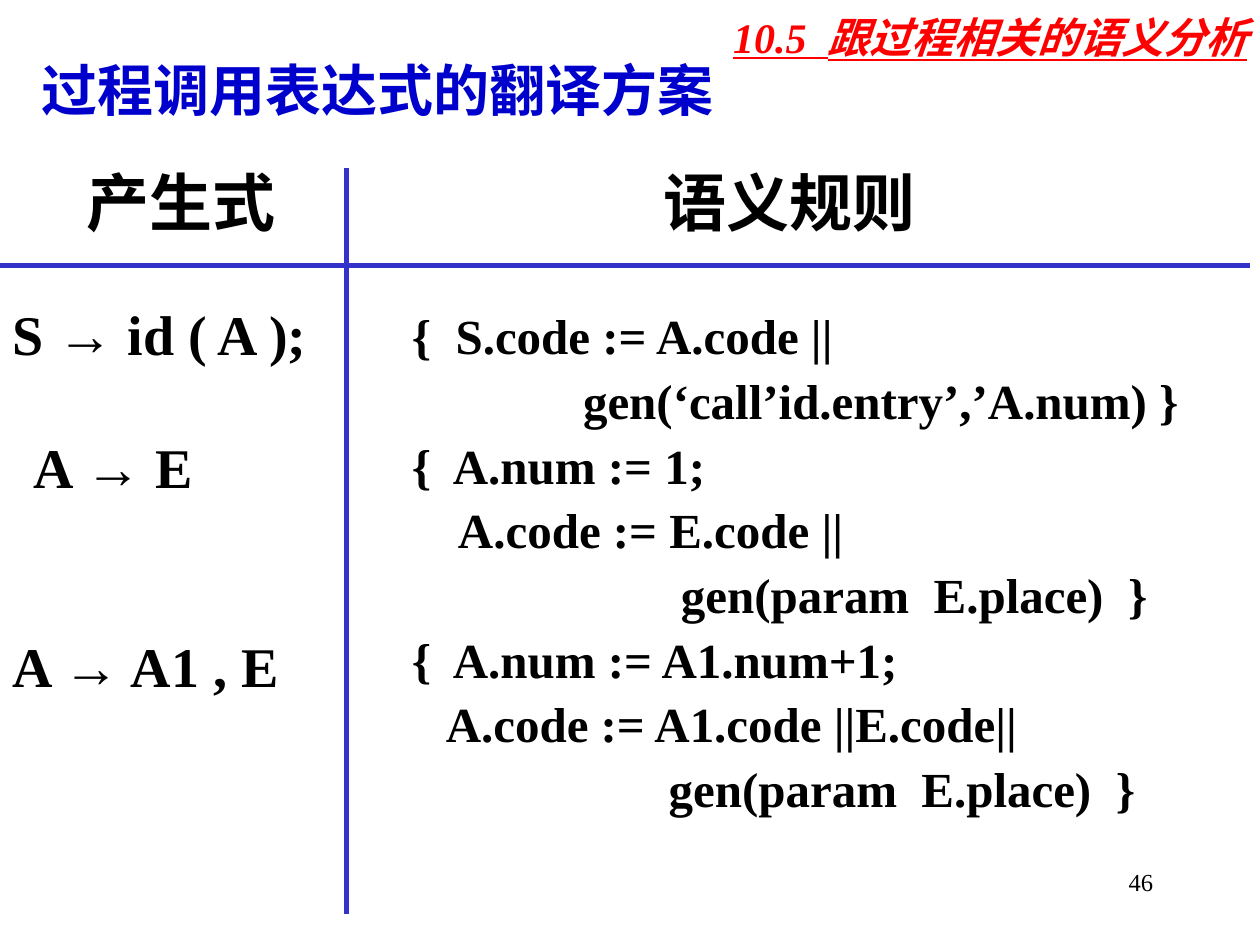
"""Build the slide on translating procedure call expressions."""
from dataclasses import dataclass
from lxml import etree
from pptx import Presentation
from pptx.dml.color import RGBColor
from pptx.enum.shapes import MSO_CONNECTOR
from pptx.enum.text import MSO_ANCHOR, MSO_AUTO_SIZE, PP_ALIGN
from pptx.oxml.ns import qn
from pptx.util import Inches, Pt

LEFT, CENTER, RIGHT = PP_ALIGN.LEFT, PP_ALIGN.CENTER, PP_ALIGN.RIGHT
TOP, MIDDLE = MSO_ANCHOR.TOP, MSO_ANCHOR.MIDDLE
GROW, FIXED = MSO_AUTO_SIZE.SHAPE_TO_FIT_TEXT, MSO_AUTO_SIZE.NONE
STRAIGHT = MSO_CONNECTOR.STRAIGHT


@dataclass
class Theme:
    font: str = "Times New Roman"
    ink: str = "000000"
    title: str = "0000CC"
    topic: str = "FF0000"
    rule: str = "3333CC"
    head: int = 36
    main: int = 32
    code: int = 28
    note: int = 24
    page: int = 14


theme = Theme()
deck = Presentation()
deck.slide_width, deck.slide_height = Inches(10), Inches(7.5)
slide = deck.slides.add_slide(deck.slide_layouts[5])


def write(text, at, size, color=theme.ink, align=LEFT, anchor=TOP, gap=None,
          bold=True, slant=False, wrap=True, fit=FIXED, shape=None):
    box = shape or slide.shapes.add_textbox(0, 0, 0, 0)
    box.left, box.top, box.width, box.height = map(Inches, at)
    frame = box.text_frame
    frame.text = text
    frame.word_wrap = wrap
    frame.auto_size = fit
    frame.vertical_anchor = anchor
    for para in frame.paragraphs:
        para.alignment = align
        if gap:
            para.line_spacing = gap
        for run in para.runs:
            font = run.font
            font.name, font.size = theme.font, Pt(size)
            font.bold, font.italic, font.underline = bold, slant, slant
            font.color.rgb = RGBColor.from_string(color)


write("过程调用表达式的翻译方案", (0, 0.42, 6, 0.58), theme.main, color=theme.title,
      align=CENTER, anchor=MIDDLE, shape=slide.shapes.title)
write("10.5  跟过程相关的语义分析", (5, 0.08, 5, 0.42), theme.note, color=theme.topic,
      align=RIGHT, anchor=MIDDLE, slant=True)

for ends in ((2.75, 1.33, 2.75, 7.25), (0, 2.11, 9.92, 2.11)):
    line = slide.shapes.add_connector(STRAIGHT, *map(Inches, ends))
    line.line.color.rgb = RGBColor.from_string(theme.rule)
    line.line.width = Pt(3)
    etree.SubElement(line._element.spPr, qn("a:effectLst"))

for head, left, width in (("产生式", 0.59, 1.7), ("语义规则", 5.17, 2.2)):
    write(head, (left, 1.25, width, 0.7), theme.head, wrap=False, fit=GROW)

write("S → id ( A );", (0, 2.33, 2.58, 0.64), theme.main, wrap=False, fit=GROW)
write("A → E", (0.17, 3.33, 1.48, 0.69), theme.main, gap=1.1, wrap=False, fit=GROW)
write("A → A1 , E", (0, 4.92, 2.58, 0.67), theme.main, gap=1.1, anchor=MIDDLE)

rules = """{  S.code := A.code ||
              gen(‘call’id.entry’,’A.num) }
{  A.num := 1;
    A.code := E.code ||
                      gen(param  E.place)  }
{  A.num := A1.num+1;
   A.code := A1.code ||E.code||
                     gen(param  E.place)  }"""
write(rules, (3.17, 2.33, 6.42, 4.21), theme.code, gap=1.1, fit=GROW)
write("46", (7.17, 6.83, 2.08, 0.5), theme.page, align=RIGHT, bold=False)

deck.save("out.pptx")
